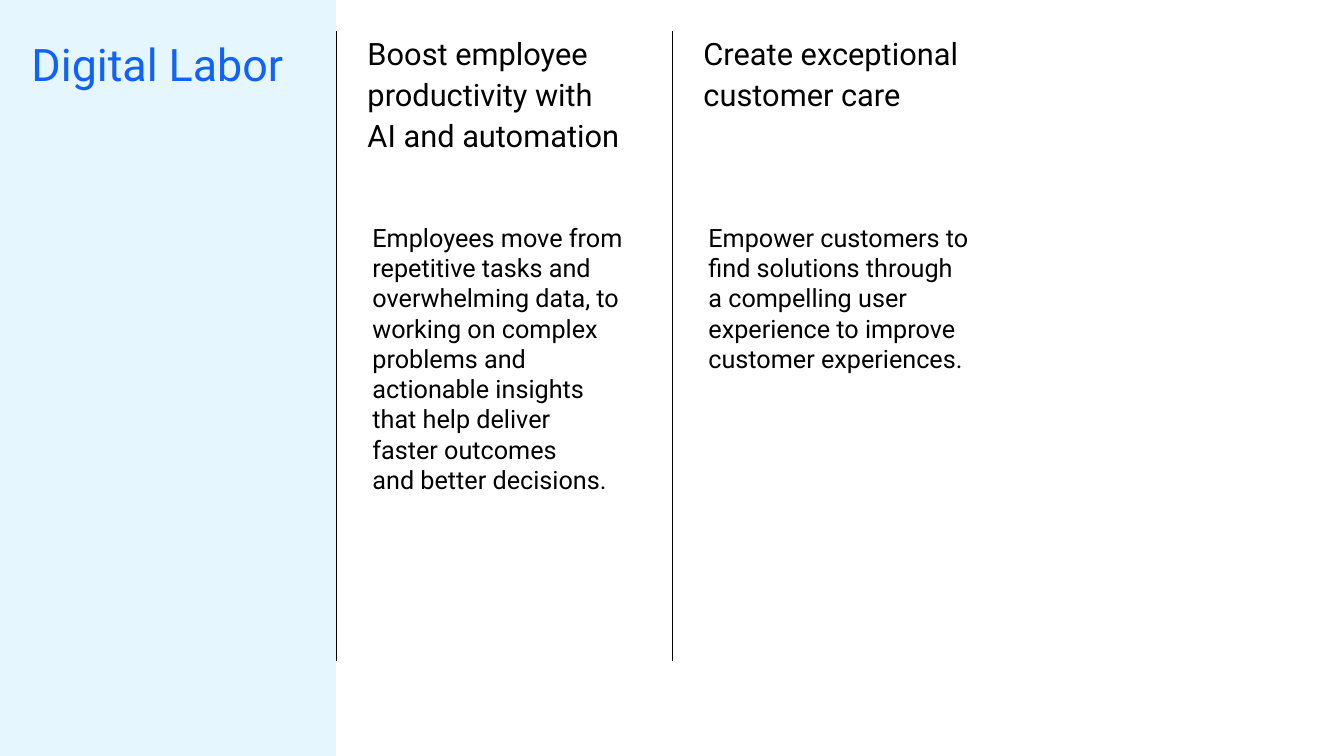
"""Build the Digital Labor slide: a tinted title panel and two ruled columns."""
from dataclasses import dataclass

from lxml.etree import SubElement
from pptx import Presentation
from pptx.dml.color import RGBColor as Color
from pptx.enum.shapes import MSO_CONNECTOR as Connector, MSO_SHAPE as Shape
from pptx.enum.text import MSO_AUTO_SIZE as AutoSize
from pptx.oxml.ns import qn
from pptx.util import Inches, Pt


@dataclass(frozen=True)
class Theme:
    """Colours, font and type sizes of the slide."""
    panel: Color = Color.from_string("E5F6FF")
    accent: Color = Color.from_string("0F62FE")
    ink: Color = Color.from_string("000000")
    font: str = "Roboto"
    title: int = 64
    heading: int = 44
    body: int = 36


THEME = Theme()
WIDTH, HEIGHT = 26.67, 15
COLUMN = WIDTH / 4
MARGIN = HEIGHT / 24
TEXT_WIDTH = COLUMN - 2 * MARGIN
HEADING_HEIGHT = HEIGHT / 9
BODY_TOP = 4.36

COLUMNS = [
    (
        "Boost employee productivity with\nAI and automation",
        "Employees move from repetitive tasks and overwhelming data, to working "
        "on complex problems and actionable insights\nthat help deliver\n"
        "faster outcomes\nand better decisions.",
        5.55,
    ),
    (
        "Create exceptional customer care",
        "Empower customers to find solutions through\na compelling user "
        "experience to improve customer experiences.",
        3.13,
    ),
]


def add_text(page, text, *, column, top, height, size, color=THEME.ink,
             spacing=None, inset=(0, 0), grow=False):
    """Add wrapped text inside the margins of a grid column."""
    box = page.shapes.add_textbox(Inches(column * COLUMN + MARGIN), Inches(top),
                                  Inches(TEXT_WIDTH), Inches(height))
    frame = box.text_frame
    frame.word_wrap = True
    frame.auto_size = AutoSize.SHAPE_TO_FIT_TEXT if grow else AutoSize.NONE
    frame.margin_left = frame.margin_right = Inches(inset[0])
    frame.margin_top = frame.margin_bottom = Inches(inset[1])
    para = frame.paragraphs[0]
    para.text = text
    para.line_spacing = spacing
    for span in para.runs:
        span.font.name = THEME.font
        span.font.size = Pt(size)
        span.font.color.rgb = color


def add_heading(page, text, column, size=THEME.heading, color=THEME.ink):
    """Add a heading at the top of a column."""
    add_text(page, text, column=column, top=MARGIN, height=HEADING_HEIGHT,
             size=size, color=color, spacing=1.1)


def add_rule(page, column):
    """Draw a vertical rule on the left edge of a column."""
    left = Inches(column * COLUMN)
    rule = page.shapes.add_connector(Connector.STRAIGHT, left, Inches(MARGIN),
                                     left, Inches(HEIGHT * 0.875))
    rule.line.color.rgb = THEME.ink
    rule.line.width = Pt(1)
    SubElement(rule._element.spPr, qn("a:effectLst"))


def add_panel(page):
    """Fill the first column with the panel colour."""
    panel = page.shapes.add_shape(Shape.RECTANGLE, 0, 0, Inches(COLUMN), Inches(HEIGHT))
    panel.shadow.inherit = False
    panel.fill.solid()
    panel.fill.fore_color.rgb = THEME.panel
    panel.line.fill.background()


def main():
    """Compose and save the slide."""
    deck = Presentation()
    deck.slide_width, deck.slide_height = Inches(WIDTH), Inches(HEIGHT)
    page = deck.slides.add_slide(deck.slide_layouts[6])

    for column in range(1, len(COLUMNS) + 1):
        add_rule(page, column)
    add_panel(page)
    add_heading(page, "Digital Labor", 0, THEME.title, THEME.accent)
    for column, (heading, body, height) in enumerate(COLUMNS, start=1):
        add_heading(page, heading, column)
        add_text(page, body, column=column, top=BODY_TOP, height=height,
                 size=THEME.body, inset=(0.1, 0.05), grow=True)

    deck.save("out.pptx")


if __name__ == "__main__":
    main()
